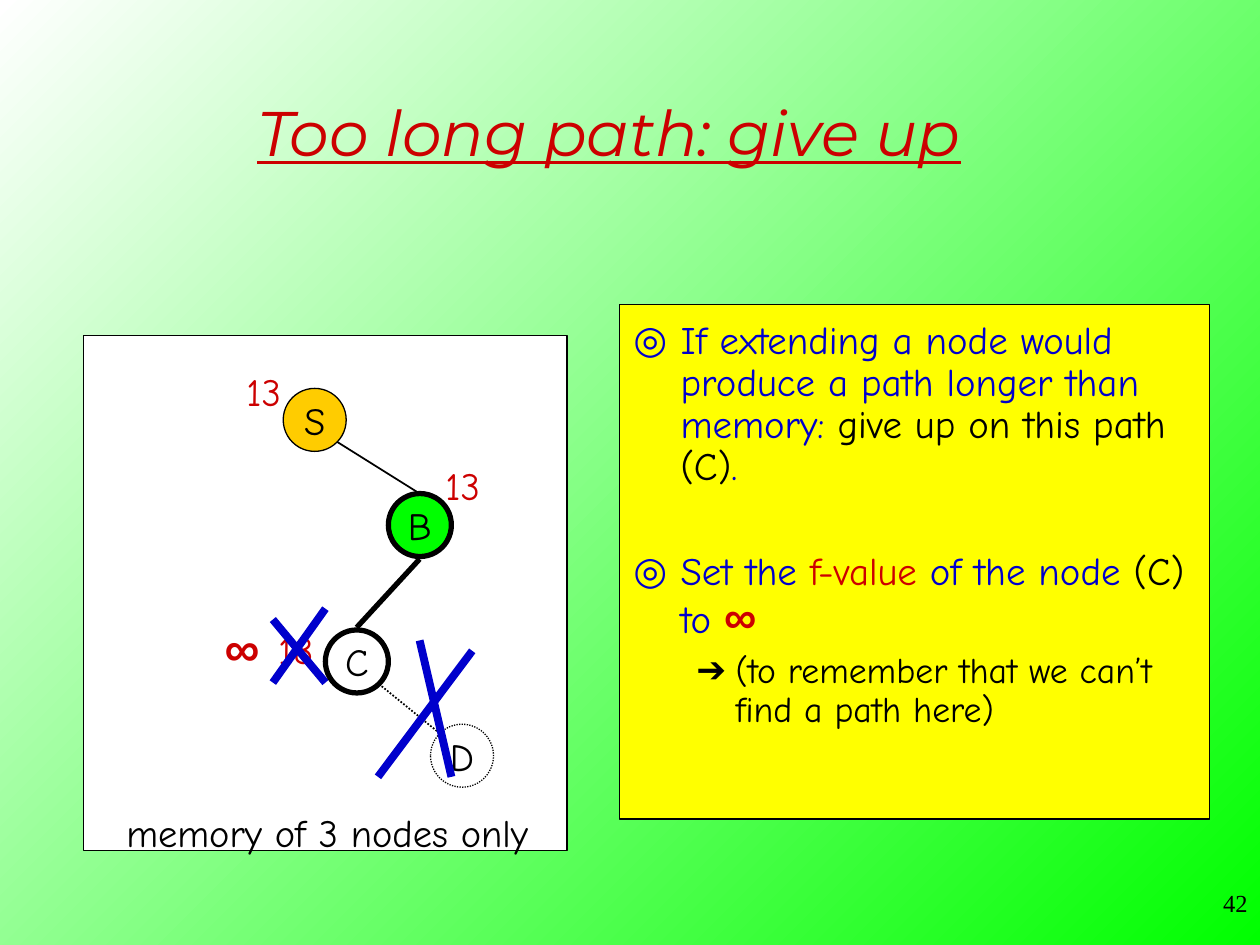
from lxml import etree
from pptx import Presentation
from pptx.dml.color import RGBColor
from pptx.enum.dml import MSO_LINE
from pptx.enum.shapes import MSO_CONNECTOR, MSO_SHAPE
from pptx.enum.text import MSO_ANCHOR, PP_ALIGN
from pptx.oxml.ns import qn
from pptx.util import Cm, Pt

RECT, OVAL = MSO_SHAPE.RECTANGLE, MSO_SHAPE.OVAL
STRAIGHT, DOTS = MSO_CONNECTOR.STRAIGHT, MSO_LINE.ROUND_DOT
LEFT, MID, RIGHT = PP_ALIGN.LEFT, PP_ALIGN.CENTER, PP_ALIGN.RIGHT
TOP, MIDDLE = MSO_ANCHOR.TOP, MSO_ANCHOR.MIDDLE

BLACK = RGBColor(0, 0, 0)
WHITE = RGBColor(0xFF, 0xFF, 0xFF)
RED = RGBColor(0xCC, 0, 0)
BLUE = RGBColor(0, 0, 0xCC)
GREEN = RGBColor(0, 0xFF, 0)
GOLD = RGBColor(0xFF, 0xCC, 0)
YELLOW = RGBColor(0xFF, 0xFF, 0)

HAND = "Comic Neue"
NODE = {"name": HAND, "size": Pt(22)}
NOTE = {"name": HAND, "size": Pt(22.2)}
SUB = {"name": HAND, "size": Pt(20.4)}
SIGN = {"name": "Arial", "size": Pt(25.9), "bold": True}
HEAD = {"name": "Montserrat", "size": Pt(36), "italic": True, "underline": True}
PAGE = {"name": "Times New Roman", "size": Pt(14)}


def add_run(para, text, form, color):
    run = para.add_run()
    run.text = text
    for key, value in form.items():
        setattr(run.font, key, value)
    run.font.color.rgb = color


def add_text(slide, box, text, form, color, align=LEFT, anchor=TOP, wrap=False):
    frame = slide.shapes.add_textbox(*map(Cm, box)).text_frame
    frame.word_wrap, frame.vertical_anchor = wrap, anchor
    para = frame.paragraphs[0]
    para.alignment = align
    add_run(para, text, form, color)


def add_shape(slide, kind, box, fill, width=0.75, dash=None):
    shape = slide.shapes.add_shape(kind, *map(Cm, box))
    shape.shadow.inherit = False
    shape.fill.solid()
    shape.fill.fore_color.rgb = fill
    shape.line.color.rgb = BLACK
    shape.line.width = Pt(width)
    shape.line.dash_style = dash
    return shape


def add_line(slide, ends, color=BLACK, width=1, dash=None):
    line = slide.shapes.add_connector(STRAIGHT, *map(Cm, ends))
    line.line.color.rgb = color
    line.line.width = Pt(width)
    line.line.dash_style = dash
    etree.SubElement(line._element.spPr, qn("a:effectLst"))


def add_bullet(para, mark, color, margin, hang):
    props = para._p.get_or_add_pPr()
    props.set("marL", str(Cm(margin)))
    props.set("indent", str(-Cm(hang)))
    tint = etree.SubElement(props, qn("a:buClr"))
    etree.SubElement(tint, qn("a:srgbClr")).set("val", str(color))
    etree.SubElement(props, qn("a:buFont")).set("typeface", "Arial")
    etree.SubElement(props, qn("a:buChar")).set("char", mark)


def draw_tree(slide, box):
    left, top = box[:2]

    def spot(x, y, *size):
        return (left + x, top + y, *size)

    def link(x1, y1, x2, y2, **form):
        add_line(slide, spot(x1, y1) + spot(x2, y2), **form)

    def node(name, x, y, fill, **form):
        shape = add_shape(slide, OVAL, spot(x, y, 1.27, 1.27), fill, **form)
        frame = shape.text_frame
        frame.word_wrap, frame.vertical_anchor = False, MIDDLE
        frame.paragraphs[0].alignment = MID
        add_run(frame.paragraphs[0], name, NODE, BLACK)

    add_shape(slide, RECT, box, WHITE)

    # Start node, dropped node and thin links
    node("S", 4.02, 1.06, GOLD)
    node("D", 6.99, 7.83, WHITE, dash=DOTS)
    link(5.11, 2.14, 6.77, 3.18)
    link(5.95, 7.02, 7.17, 8.01, dash=DOTS)

    # Path values and caption, wide enough to stay on one line
    for text, x, y in (("13", 3.03, 0.52), ("13", 7.04, 2.42), ("18", 3.67, 5.72)):
        add_text(slide, spot(x, y, 1.4, 1.19), text, NODE, RED)
    add_text(slide, spot(0.61, 9.41, 8.8, 1.19), "memory of 3 nodes only", NODE, BLACK)
    add_text(slide, spot(2.59, 5.55, 1.4, 1.45), "∞", {**SIGN, "size": Pt(28)}, RED)

    # Crosses over the old value and the dropped link
    for ends in ((3.81, 5.72, 4.87, 6.99), (4.87, 5.5, 3.81, 6.99),
                 (7.83, 6.35, 5.93, 8.89), (6.77, 6.14, 7.41, 8.89)):
        link(*ends, color=BLUE, width=4.5)

    # Current path
    node("B", 6.14, 3.18, GREEN, width=3)
    node("C", 4.87, 5.93, WHITE, width=3)
    link(6.77, 4.5, 5.5, 5.88, width=3)


def draw_notes(slide, box):
    left, top, width, height = box
    add_shape(slide, RECT, box, YELLOW)
    area = (left + 0.03, top + 0.21, width + 0.18, height - 0.84)
    frame = slide.shapes.add_textbox(*map(Cm, area)).text_frame
    frame.word_wrap = True

    # Mark, colour, margin, hang, space before, runs
    items = (
        ("◎", BLUE, 0.95, 0.95, 0, (
            ("If extending a node would produce a path longer than memory: ", NOTE, BLUE),
            ("give up on this path (C)", NOTE, BLACK),
            (".", NOTE, BLUE))),
        ("◎", BLUE, 0.95, 0.95, 36, (
            ("Set the ", NOTE, BLUE),
            ("f-value", NOTE, RED),
            (" of the node ", NOTE, BLUE),
            ("(C)", NOTE, BLACK),
            (" to ", NOTE, BLUE),
            ("∞", SIGN, RED))),
        ("➔", BLACK, 2.06, 0.79, 5.5, (
            ("(to remember that we can’t find a path here)", SUB, BLACK),)),
    )
    for i, (mark, color, margin, hang, gap, runs) in enumerate(items):
        para = frame.add_paragraph() if i else frame.paragraphs[0]
        add_bullet(para, mark, color, margin, hang)
        para.line_spacing = 0.9
        para.space_before = Pt(gap)
        for run in runs:
            add_run(para, *run)


def main():
    deck = Presentation()
    deck.slide_width, deck.slide_height = Cm(25.4), Cm(19.05)
    slide = deck.slides.add_slide(deck.slide_layouts[6])

    # Diagonal background, green at bottom right
    fill = slide.background.fill
    fill.gradient()
    fill.gradient_angle = 135
    for stop, color in zip(fill.gradient_stops, (GREEN, WHITE)):
        stop.color.rgb = color

    add_text(slide, (1.48, 1.06, 21.59, 3.18), "Too long path: give up",
             HEAD, RED, MID, MIDDLE, True)
    draw_notes(slide, (12.49, 6.14, 11.89, 10.37))
    draw_tree(slide, (1.69, 6.77, 9.74, 10.37))
    add_text(slide, (20.12, 17.78, 5.28, 1.27), "42", PAGE, BLACK, RIGHT, wrap=True)
    deck.save("out.pptx")


if __name__ == "__main__":
    main()
